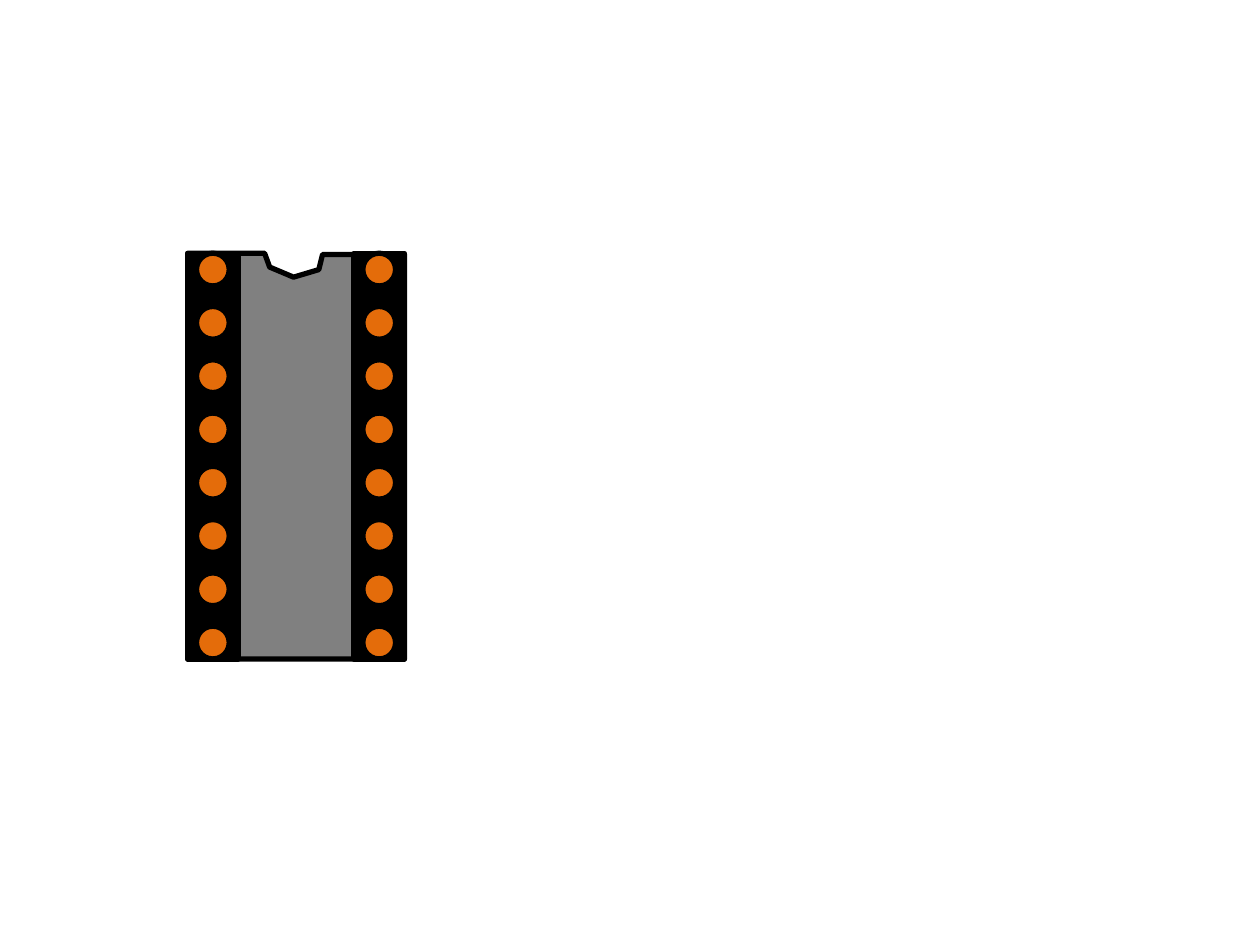
"""Build a slide with a sixteen-pin chip socket."""
from dataclasses import dataclass

from pptx import Presentation
from pptx.dml.color import RGBColor
from pptx.enum.shapes import MSO_SHAPE
from pptx.util import Pt

RECT, OVAL = MSO_SHAPE.RECTANGLE, MSO_SHAPE.OVAL


@dataclass(frozen=True)
class Theme:
    body: str = "808080"
    strip: str = "000000"
    pin: str = "E46C0A"
    line: str = "000000"
    width: float = 3


THEME = Theme()
SIZE = (720, 540)
LEFT, TOP, WIDTH, HEIGHT = 107.28, 144.72, 123.84, 231.84
RIGHT, BASE = LEFT + WIDTH, TOP + HEIGHT
STRIP, PIN, ROWS = 28.8, 18.72, 8
NOTCH = [(184.32, 145.44), (182.16, 154.08), (167.76, 158.4),
         (154.08, 152.64), (151.2, TOP)]
BODY = [(LEFT, TOP), (LEFT, BASE), (RIGHT, BASE), (RIGHT, 145.44), *NOTCH]


def paint(shape, fill):
    shape.shadow.inherit = False
    shape.fill.solid()
    shape.fill.fore_color.rgb = RGBColor.from_string(fill)
    shape.line.color.rgb = RGBColor.from_string(THEME.line)
    shape.line.width = Pt(THEME.width)


def add(shapes, kind, box, fill):
    paint(shapes.add_shape(kind, *map(Pt, box)), fill)


def add_body(shapes):
    first, *rest = [(Pt(x), Pt(y)) for x, y in BODY]
    pen = shapes.build_freeform(*first)
    pen.add_line_segments(rest, close=True)
    paint(pen.convert_to_shape(), THEME.body)


def add_strip(shapes, left):
    add(shapes, RECT, (left, TOP, STRIP, HEIGHT), THEME.strip)
    step = (HEIGHT - PIN) / (ROWS - 1)
    inset = (STRIP - PIN) / 2
    for row in range(ROWS):
        box = (left + inset, TOP + row * step, PIN, PIN)
        add(shapes, OVAL, box, THEME.pin)


def main():
    deck = Presentation()
    deck.slide_width, deck.slide_height = map(Pt, SIZE)
    slide = deck.slides.add_slide(deck.slide_layouts[6])
    chip = slide.shapes.add_group_shape().shapes
    add_body(chip)
    for left in (LEFT, RIGHT - STRIP):
        add_strip(chip, left)
    deck.save("out.pptx")


if __name__ == "__main__":
    main()
